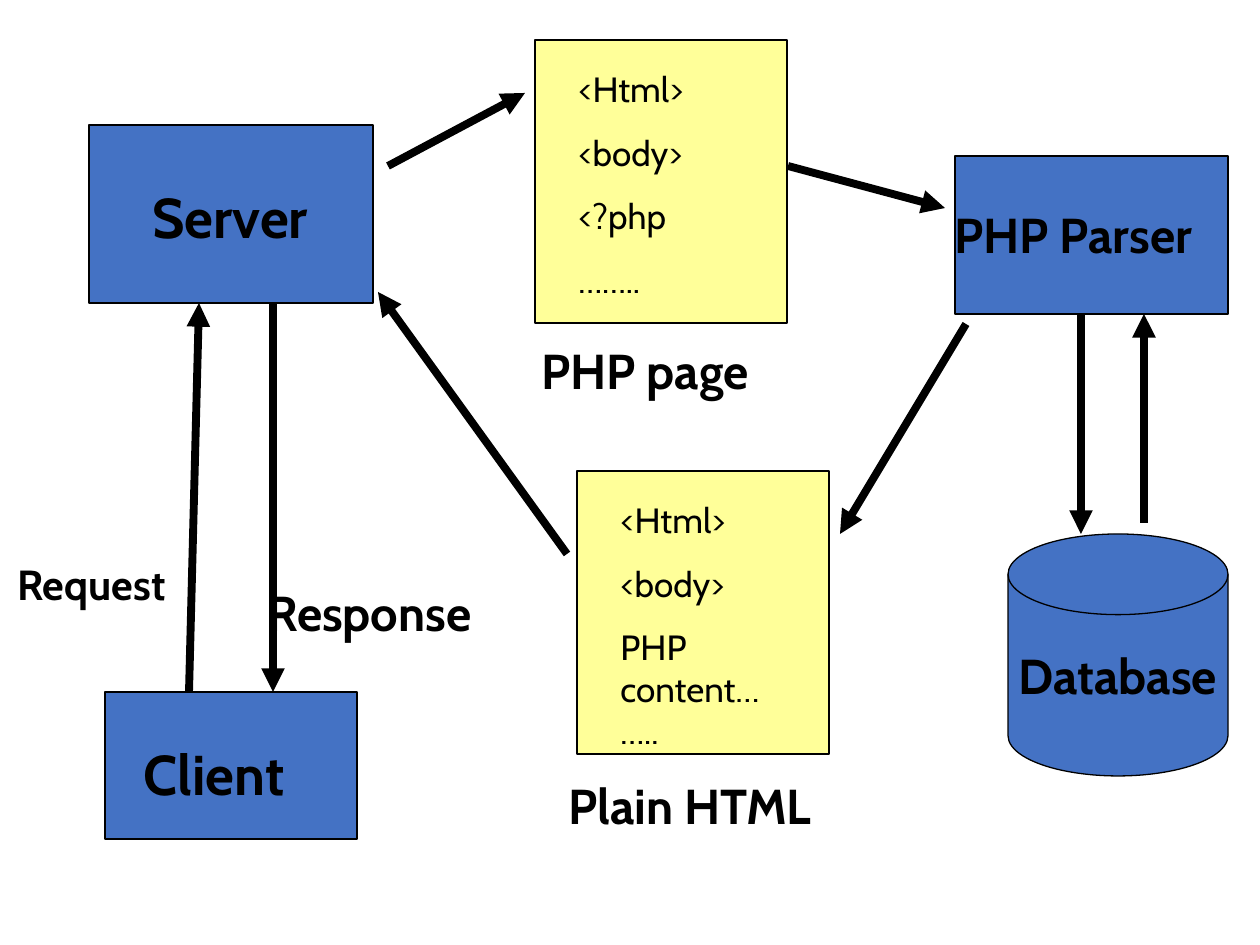
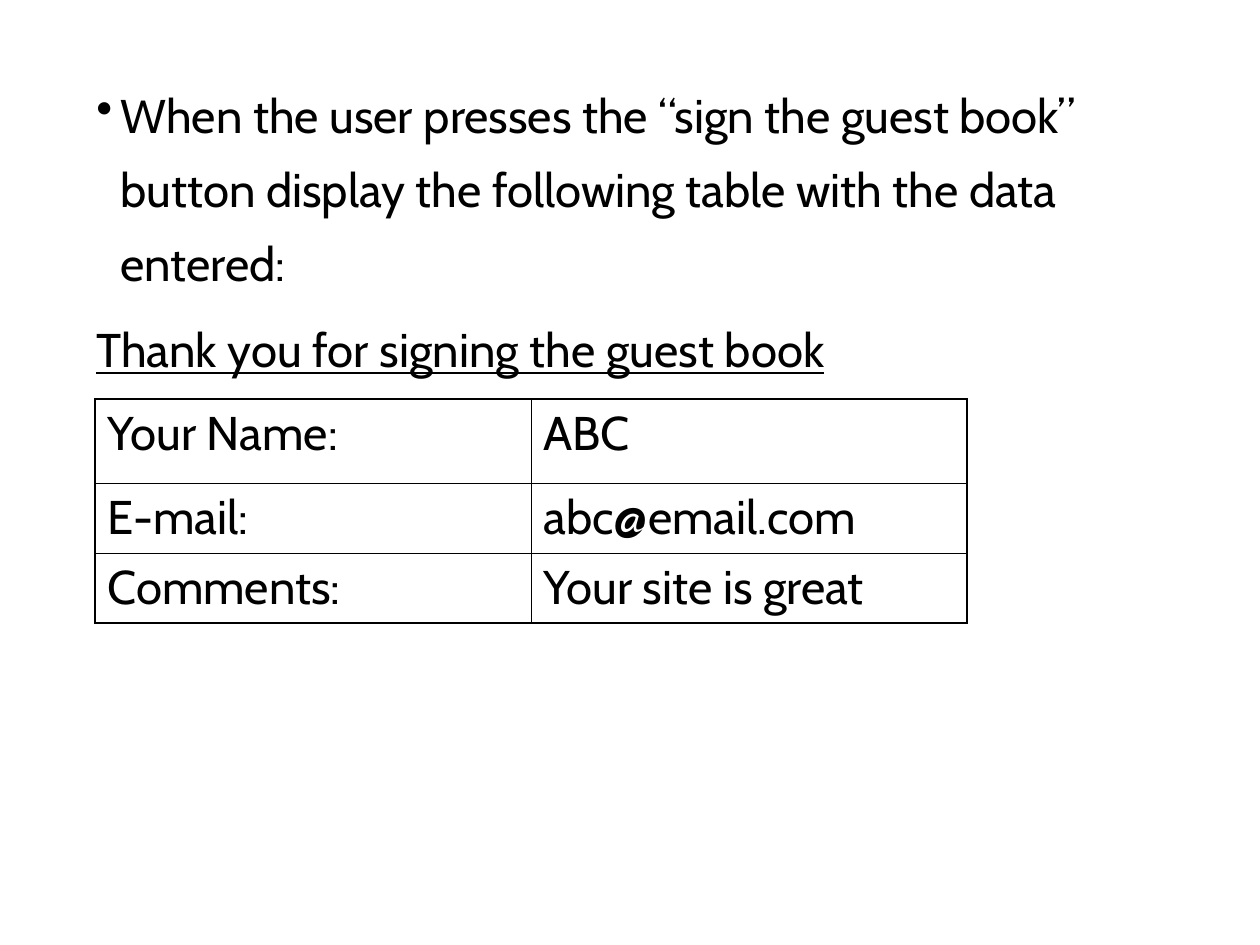
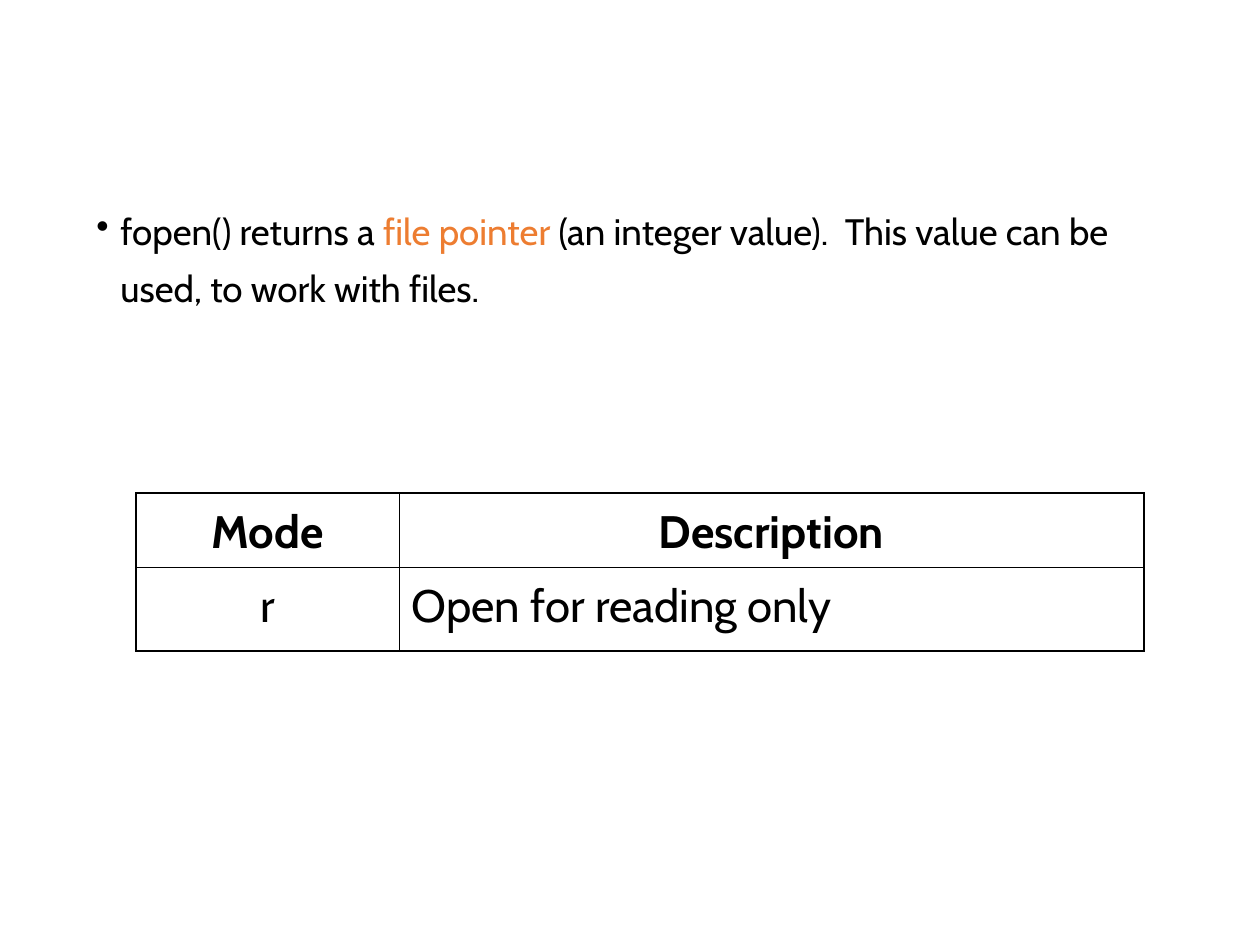
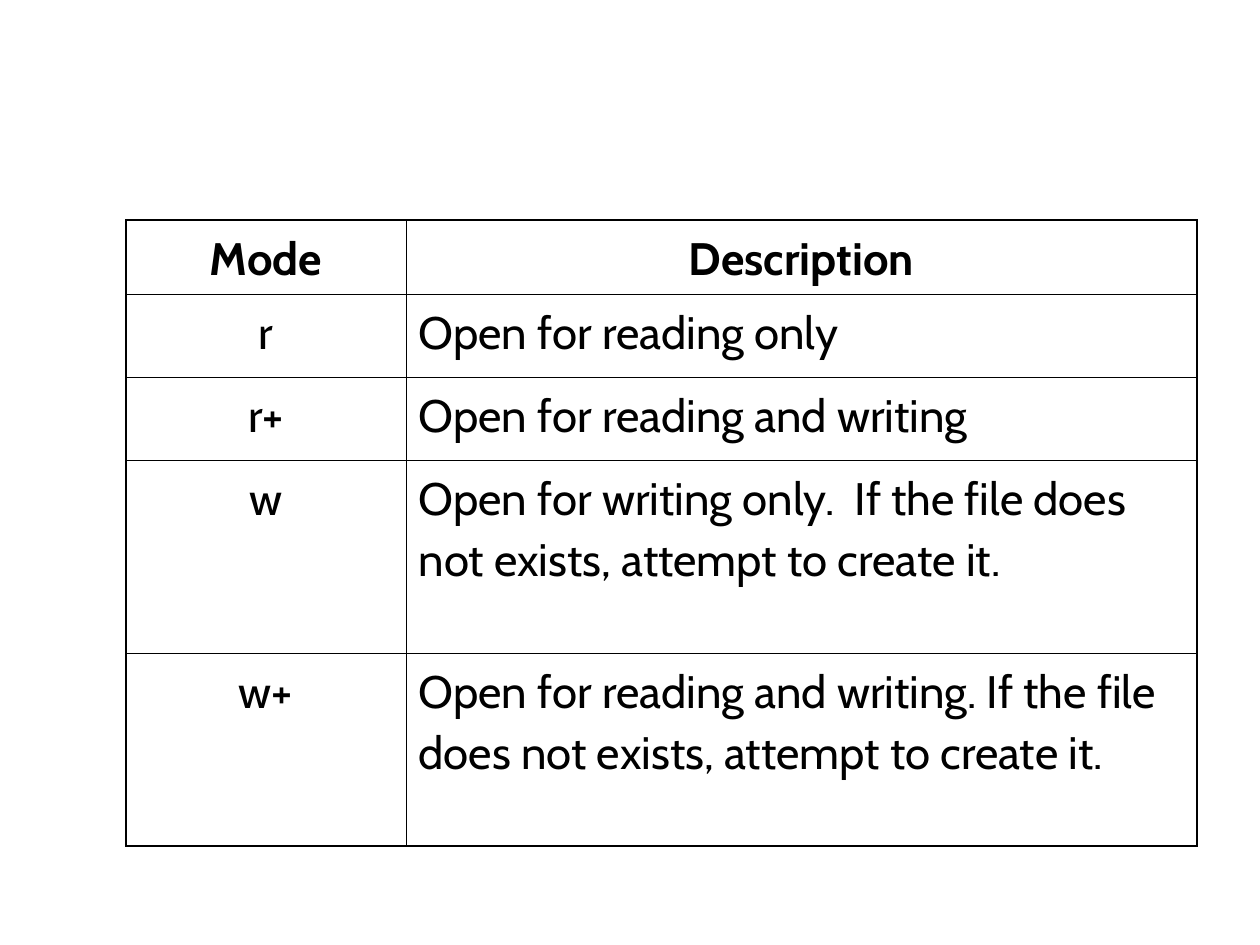
from lxml import etree
from pptx import Presentation
from pptx import util as u
from pptx.dml.color import RGBColor
from pptx.enum import shapes, text
from pptx.oxml.ns import qn

# Shared look
PX = 914400 / 126
FONT = "Cabin"
HEX = {"ink": "000000", "blue": "4472C4", "cream": "FFFF99",
       "white": "FFFFFF", "mark": "ED7D31"}
THICK, THIN = 1.08, 0.45
KIND = shapes.MSO_SHAPE


def emu(*vals):
    return [u.Emu(round(v * PX)) for v in vals]


def rgb(name):
    return RGBColor.from_string(HEX[name])


def style(par, size, bold=False, ink="ink", line=False):
    for run in par.runs:
        font = run.font
        font.name, font.size, font.bold = FONT, u.Pt(size), bold
        font.color.rgb = rgb(ink)
        if line:
            font.underline = True


def add_box(slide, at, fill, kind=KIND.RECTANGLE):
    box = slide.shapes.add_shape(kind, *emu(*at))
    box.shadow.inherit = False
    box.fill.solid()
    box.fill.fore_color.rgb = rgb(fill)
    box.line.color.rgb = rgb("ink")
    box.line.width = u.Pt(0.75)
    return box


def add_text(slide, at):
    frame = slide.shapes.add_textbox(*emu(*at)).text_frame
    frame.word_wrap = True
    return frame


def add_label(slide, words, at, size):
    frame = add_text(slide, at)
    frame.word_wrap = False
    frame.auto_size = text.MSO_AUTO_SIZE.SHAPE_TO_FIT_TEXT
    frame.text = words
    style(frame.paragraphs[0], size, bold=True)


def add_page(slide, left, top, lines):
    """Cream sheet with lines of code on it."""
    add_box(slide, (left, top, 252, 283), "cream")
    frame = add_text(slide, (left + 31, top + 21, 168, 252))
    frame.text = "\n".join(lines)
    for par in frame.paragraphs:
        par.space_before = u.Pt(12.5)
        style(par, 20)


def add_arrow(slide, start, end):
    arrow = slide.shapes.add_connector(
        shapes.MSO_CONNECTOR.STRAIGHT, *emu(*start, *end))
    arrow.line.color.rgb = rgb("ink")
    arrow.line.width = u.Pt(4.5)
    prop = arrow.element.spPr
    etree.SubElement(prop.find(qn("a:ln")), qn("a:tailEnd"), type="triangle")
    etree.SubElement(prop, qn("a:effectLst"))


def space_body(par, bullet=False):
    """Hanging indent and wide lines, with or without a bullet."""
    par.line_spacing = 1.3
    par.space_before = u.Pt(7.5)
    prop = par._p.get_or_add_pPr()
    indent = emu(24)[0]
    prop.set("marL", str(indent))
    prop.set("indent", str(-indent))
    if bullet:
        tint = etree.SubElement(prop, qn("a:buClr"))
        etree.SubElement(tint, qn("a:srgbClr"), val=HEX["ink"])
        etree.SubElement(prop, qn("a:buChar"), char="•")


def add_edges(cell, widths):
    prop = cell._tc.get_or_add_tcPr()
    for side, width in zip("LRTB", widths):
        line = etree.SubElement(prop, qn("a:ln" + side), w=str(u.Pt(width)))
        fill = etree.SubElement(line, qn("a:solidFill"))
        etree.SubElement(fill, qn("a:srgbClr"), val=HEX["ink"])


def add_grid(slide, at, cols, rows, data, size, before, modes=False):
    """Ruled table; a table of modes has a head and a centred first column."""
    shape = slide.shapes.add_table(
        len(rows), len(cols), *emu(*at, sum(cols), sum(rows)))
    grid = shape.table
    grid.first_row = grid.horz_banding = False
    for col, width in zip(grid.columns, emu(*cols)):
        col.width = width
    for row, height in zip(grid.rows, emu(*rows)):
        row.height = height
    for r, line in enumerate(data):
        for c, words in enumerate(line):
            cell = grid.cell(r, c)
            outer = (c == 0, c == len(cols) - 1, r == 0, r == len(rows) - 1)
            add_edges(cell, [THICK if edge else THIN for edge in outer])
            head = modes and r == 0
            if head:
                cell.fill.solid()
                cell.fill.fore_color.rgb = rgb("white")
            else:
                cell.fill.background()
            cell.text = words
            par = cell.text_frame.paragraphs[0]
            par.space_before = u.Pt(before)
            if modes:
                par.line_spacing = 1.1
                if head or c == 0:
                    par.alignment = text.PP_ALIGN.CENTER
            style(par, size, bold=head)


def add_modes(slide, at, cols, rows, data):
    add_grid(slide, at, cols, rows, [("Mode", "Description")] + data,
             26, 6.5, modes=True)


def draw_flow(slide):
    # Machines
    for at in ((105, 692, 252, 147), (89, 125, 284, 178),
               (955, 156, 273, 158)):
        add_box(slide, at, "blue")
    disk = add_box(slide, (1008, 534, 220, 242), "blue",
                   KIND.FLOWCHART_MAGNETIC_DISK)
    frame = disk.text_frame
    frame.word_wrap = False
    frame.vertical_anchor = text.MSO_ANCHOR.MIDDLE
    frame.text = "Database"
    par = frame.paragraphs[0]
    par.alignment = text.PP_ALIGN.CENTER
    style(par, 28, bold=True)

    # Sheets of code
    add_page(slide, 535, 40, ["<Html>", "<body>", "<?php", "…….."])
    add_page(slide, 577, 471, ["<Html>", "<body>", "PHP content…….."])

    # Arrows
    for start, end in (
            ((273, 303), (273, 692)), ((189, 692), (199, 303)),
            ((388, 166), (525, 93)), ((788, 166), (945, 208)),
            ((1081, 314), (1081, 534)), ((1144, 523), (1144, 314)),
            ((567, 554), (378, 292)), ((966, 324), (840, 534))):
        add_arrow(slide, start, end)

    # Labels
    for words, at, size in (
            ("Client", (131, 733, 189, 81), 32),
            ("Server", (140, 176, 205, 81), 32),
            ("Request", (5, 552, 207, 63), 24),
            ("Response", (255, 576, 257, 72), 28),
            ("PHP page", (529, 334, 257, 72), 28),
            ("PHP Parser", (942, 198, 295, 72), 28),
            ("Plain HTML", (556, 769, 300, 72), 28)):
        add_label(slide, words, at, size)


def draw_guest(slide):
    frame = add_text(slide, (84, 63, 1113, 399))
    frame.text = ("When the user presses the “sign the guest book” button "
                  "display the following table with the data entered:\n"
                  "Thank you for signing the guest book")
    task, thanks = frame.paragraphs
    space_body(task, bullet=True)
    style(task, 27)
    space_body(thanks)
    style(thanks, 27, line=True)
    add_grid(slide, (95, 399), (436, 436), (84, 70, 70),
             [("Your Name:", "ABC"), ("E-mail:", "abc@email.com"),
              ("Comments:", "Your site is great")], 27, 6.8)


def draw_open(slide):
    frame = add_text(slide, (84, 189, 1113, 221))
    par = frame.paragraphs[0]
    for words in ("fopen() returns a ", "file pointer",
                  " (an integer value).  This value can be used, "
                  "to work with files."):
        par.add_run().text = words
    space_body(par, bullet=True)
    style(par, 21)
    par.runs[1].font.color.rgb = rgb("mark")
    add_modes(slide, (136, 493), (263, 745), (74, 84),
              [("r", "Open for reading only")])


def draw_modes(slide):
    add_modes(slide, (126, 220), (280, 791), (74, 83, 83, 193, 193), [
        ("r", "Open for reading only"),
        ("r+", "Open for reading and writing"),
        ("w", "Open for writing only.  If the file does not exists, "
              "attempt to create it."),
        ("w+", "Open for reading and writing. If the file does not exists, "
               "attempt to create it.")])


def main():
    deck = Presentation()
    deck.slide_width, deck.slide_height = emu(1260, 945)
    for draw in (draw_flow, draw_guest, draw_open, draw_modes):
        draw(deck.slides.add_slide(deck.slide_layouts[6]))
    deck.save("out.pptx")


if __name__ == "__main__":
    main()
